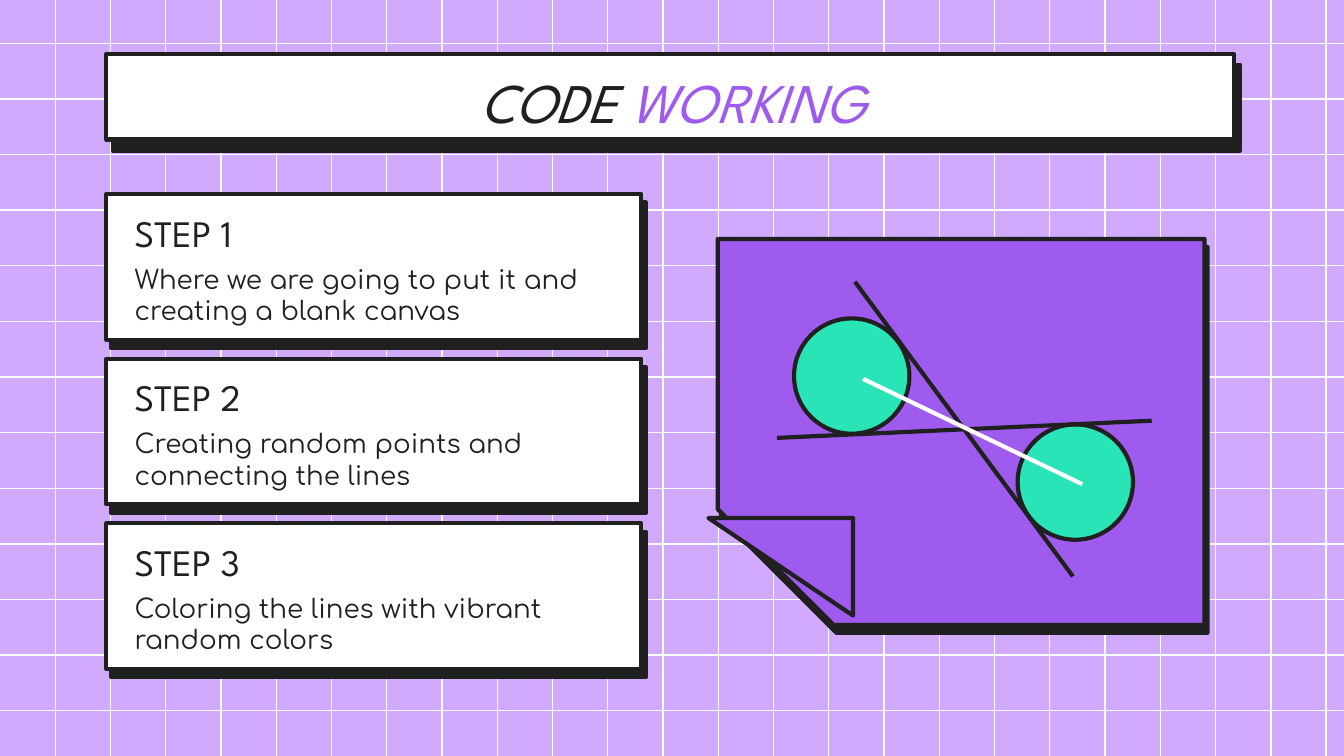
from lxml import etree
from pptx import Presentation
from pptx.dml.color import RGBColor
from pptx.enum.shapes import MSO_CONNECTOR, MSO_SHAPE
from pptx.enum.text import MSO_ANCHOR, PP_ALIGN
from pptx.oxml.ns import qn
from pptx.util import Pt

STRAIGHT = MSO_CONNECTOR.STRAIGHT
RECTANGLE = MSO_SHAPE.RECTANGLE
SNIPPED = MSO_SHAPE.SNIP_1_RECTANGLE
TRIANGLE = MSO_SHAPE.RIGHT_TRIANGLE
OVAL = MSO_SHAPE.OVAL
TOP = MSO_ANCHOR.TOP
LEFT, CENTER = PP_ALIGN.LEFT, PP_ALIGN.CENTER

COLORS = {
    "lavender": "D1AAFD",
    "purple": "9E5BEE",
    "ink": "202020",
    "white": "FFFFFF",
    "mint": "28E4B7",
}
HEADING_FONT = "League Spartan"
BODY_FONT = "Comfortaa"
WIDTH, HEIGHT = 720, 405
OUTLINE = 2.25
INSET = 7.2

STEPS = [
    ("STEP 1", "Where we are going to put it and creating a blank canvas"),
    ("STEP 2", "Creating random points and connecting the lines"),
    ("STEP 3", "Coloring the lines with vibrant random colors"),
]
STEP_TOP, STEP_PITCH = 104, 88.2


class SlideBuilder:
    def __init__(self, slide):
        self.slide = slide

    def color(self, name):
        return RGBColor.from_string(COLORS[name])

    def background(self, name):
        fill = self.slide.background.fill
        fill.solid()
        fill.fore_color.rgb = self.color(name)

    def line(self, start, end, color, width=OUTLINE):
        points = [Pt(value) for value in (*start, *end)]
        connector = self.slide.shapes.add_connector(STRAIGHT, *points)
        connector.line.color.rgb = self.color(color)
        connector.line.width = Pt(width)
        etree.SubElement(connector._element.spPr, qn("a:effectLst"))

    def shape(self, kind, box, fill, rotation=0, shadow=None):
        shape = self.slide.shapes.add_shape(kind, *[Pt(value) for value in box])
        shape.rotation = rotation
        shape.fill.solid()
        shape.fill.fore_color.rgb = self.color(fill)
        shape.line.color.rgb = self.color("ink")
        shape.line.width = Pt(OUTLINE)
        shape.shadow.inherit = False
        if shadow:
            self.hard_shadow(shape, *shadow)
        return shape

    def hard_shadow(self, shape, distance, angle):
        effects = shape._element.spPr.find(qn("a:effectLst"))
        shadow = etree.SubElement(
            effects, qn("a:outerShdw"), blurRad="0", dist=str(int(Pt(distance))),
            dir=str(angle * 60000), algn="bl", rotWithShape="0")
        etree.SubElement(shadow, qn("a:srgbClr"), val=COLORS["ink"])

    def text(self, box, runs, font, size, align=LEFT, italic=False):
        shape = self.slide.shapes.add_textbox(*[Pt(value) for value in box])
        frame = shape.text_frame
        frame.word_wrap = True
        frame.vertical_anchor = TOP
        frame.margin_left = frame.margin_right = Pt(INSET)
        frame.margin_top = frame.margin_bottom = Pt(INSET)
        paragraph = frame.paragraphs[0]
        paragraph.alignment = align
        for words, color in runs:
            run = paragraph.add_run()
            run.text = words
            run.font.name = font
            run.font.size = Pt(size)
            run.font.italic = italic
            run.font.color.rgb = self.color(color)


def draw_grid(builder):
    for row in range(13):
        y = 23.2 + 29.8 * row
        builder.line((0, y), (WIDTH, y), "white", 0.75)
    for column in range(1, 25):
        x = 29.6 * column
        builder.line((x, 0), (x, HEIGHT), "white", 0.75)


def draw_title(builder):
    builder.shape(RECTANGLE, (57, 28.8, 604, 46), "white", shadow=(6.8, 60))
    builder.text((57, 28.8, 607, 45.4), [("CODE ", "ink"), ("WORKING", "purple")],
                 HEADING_FONT, 30, CENTER, italic=True)


def draw_steps(builder):
    for index, (heading, description) in enumerate(STEPS):
        top = STEP_TOP + STEP_PITCH * index
        builder.shape(RECTANGLE, (57, top, 286.6, 78), "white", shadow=(5.2, 61))
        builder.text((65, top + 1.2, 152, 31), [(heading, "ink")], HEADING_FONT, 20)
        builder.text((65, top + 29.8, 258, 45.4), [(description, "ink")], BODY_FONT, 14)


def draw_sheet(builder):
    sheet = builder.shape(SNIPPED, (384.5, 128, 260.8, 206.8), "purple", 180, (4.5, 70))
    sheet.adjustments[0] = 0.3
    builder.shape(TRIANGLE, (379.5, 277.5, 77.5, 52.3), "purple", 180)


def draw_circles(builder):
    for left, top in ((425.4, 170.6), (545.2, 227.4)):
        builder.shape(OVAL, (left, top, 61.8, 61.8), "mint")
    builder.line((458, 151), (574.8, 308.8), "ink")
    builder.line((416.2, 234.6), (617, 225.4), "ink")
    builder.line((462.4, 203), (579.8, 259.4), "white")


def main():
    presentation = Presentation()
    presentation.slide_width = Pt(WIDTH)
    presentation.slide_height = Pt(HEIGHT)
    builder = SlideBuilder(presentation.slides.add_slide(presentation.slide_layouts[6]))
    builder.background("lavender")
    draw_grid(builder)
    draw_title(builder)
    draw_steps(builder)
    draw_sheet(builder)
    draw_circles(builder)
    presentation.save("out.pptx")


if __name__ == "__main__":
    main()
